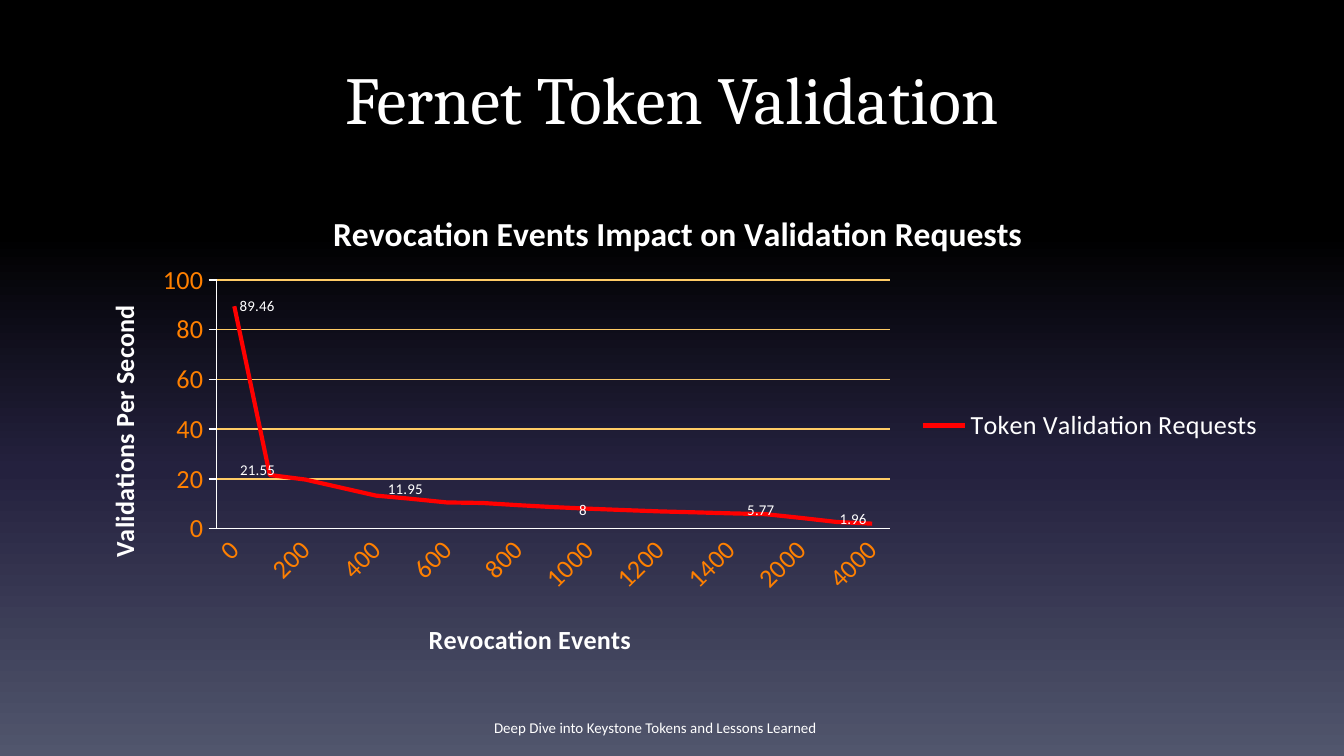
from lxml import etree
from pptx import Presentation
from pptx.chart.data import CategoryChartData
from pptx.dml.color import RGBColor
from pptx.enum.chart import XL_CHART_TYPE as Kind, XL_LABEL_POSITION as LabelPos
from pptx.enum.chart import XL_LEGEND_POSITION as LegendPos, XL_TICK_MARK as Tick
from pptx.enum.text import MSO_ANCHOR as Anchor, PP_ALIGN as Align
from pptx.oxml.ns import qn
from pptx.util import Emu, Pt

PX = 914400 / 134.4
COLORS = {"white": "FFFFFF", "orange": "FF8000", "grid": "FFCC66", "red": "FF0000",
          "black": "000000", "navy": "24213E", "slate": "51566D"}
BACKGROUND = [(0, "black"), (31, "black"), (62, "navy"), (100, "slate")]
EVENTS = [*range(0, 1501, 100), 2000, 3000, 4000]
RATES = [89.46, 21.55, 19.72, 16.49, 13.24, 11.95, 10.5, 10.3, 9.41, 8.64,
         8, 7.43, 6.91, 6.53, 6.12, 5.77, 4.27, 2.66, 1.96]
LABEL_SHIFTS = {0: (0, 0), 1: (-35, -4), 5: (-29, -9), 10: (-15, 2), 15: (-24, -4), 18: (-38, -4)}


def px(n):
    return Emu(round(n * PX))


def rgb(name):
    return RGBColor.from_string(COLORS[name])


def style(font, size, color="white", face="Calibri", bold=False):
    font.size, font.name, font.bold = Pt(size), face, bold
    font.color.rgb = rgb(color)


def sub(parent, tag, **attrs):
    return etree.SubElement(parent, qn(tag), {k: str(v) for k, v in attrs.items()})


def set_layout(anchor, **values):
    """Put a manual chart layout right after the anchor element."""
    parent = anchor.getparent()
    for old in parent.findall(qn("c:layout")):
        parent.remove(old)
    layout = etree.Element(qn("c:layout"))
    manual = sub(layout, "c:manualLayout")
    for tag, val in values.items():
        sub(manual, f"c:{tag}", val=val if isinstance(val, str) else round(val, 4))
    anchor.addnext(layout)


class Deck:
    """Holds the style and the current slide."""

    def __init__(self, width, height):
        self.prs = Presentation()
        self.prs.slide_width, self.prs.slide_height = px(width), px(height)
        self.s = self.prs.slides.add_slide(self.prs.slide_layouts[6])

    def background(self, stops):
        fill = self.s.background.fill
        fill.gradient()
        fill.gradient_angle = 270
        gs_list = next(self.s.element.iter(qn("a:gsLst")))
        for gs in list(gs_list):
            gs_list.remove(gs)
        for pos, color in stops:
            sub(sub(gs_list, "a:gs", pos=pos * 1000), "a:srgbClr", val=COLORS[color])

    def text(self, text, x, y, w, h, anchor=Anchor.MIDDLE, **fmt):
        tf = self.s.shapes.add_textbox(px(x), px(y), px(w), px(h)).text_frame
        tf.word_wrap, tf.vertical_anchor = True, anchor
        p = tf.paragraphs[0]
        p.alignment = Align.CENTER
        r = p.add_run()
        r.text = text
        style(r.font, **fmt)

    def chart_title(self, owner, text, size, x, y):
        title = owner.chart_title if hasattr(owner, "chart_title") else owner.axis_title
        p = title.text_frame.paragraphs[0]
        r = p.add_run()
        r.text = text
        style(r.font, size, bold=True)
        set_layout(title._element.find(qn("c:tx")), xMode="edge", yMode="edge",
                   x=x / self.chart_w, y=y / self.chart_h)

    def axis(self, axis, tick):
        axis.major_tick_mark, axis.minor_tick_mark = tick, Tick.NONE
        style(axis.tick_labels.font, 14, "orange")
        axis.format.line.color.rgb = rgb("white")
        axis.format.line.width = Pt(0.75)

    def line_chart(self, name, cats, values, x, y, w, h, plot):
        self.chart_w, self.chart_h = w, h
        data = CategoryChartData()
        data.categories = cats
        data.add_series(name, values)
        chart = self.s.shapes.add_chart(Kind.LINE, px(x), px(y), px(w), px(h), data).chart
        style(chart.font, 18)
        chart.has_legend = True
        chart.legend.position, chart.legend.include_in_layout = LegendPos.RIGHT, False
        style(chart.legend.font, 14)

        cat, val = chart.category_axis, chart.value_axis
        self.axis(cat, Tick.NONE)
        self.axis(val, Tick.OUTSIDE)
        val.minimum_scale, val.maximum_scale, val.major_unit = 0, 100, 20
        grid = val.major_gridlines.format.line
        grid.color.rgb, grid.width = rgb("grid"), Pt(0.75)
        cat._element.find(qn("c:txPr")).find(qn("a:bodyPr")).set("rot", "-2700000")
        skip = etree.Element(qn("c:tickLblSkip"), val="2")
        cat._element.find(qn("c:noMultiLvlLbl")).addprevious(skip)

        left, top, width, height = plot
        area = next(chart._chartSpace.iter(qn("c:plotArea")))
        marker = etree.Element(qn("c:layout"))
        area.insert(0, marker)
        set_layout(marker, layoutTarget="inner", xMode="edge", yMode="edge",
                   x=left / w, y=top / h, w=width / w, h=height / h)
        return chart

    def series(self, chart, color, shifts):
        ser = chart.plots[0].series[0]
        ser.smooth = False
        ser.format.line.color.rgb, ser.format.line.width = rgb(color), Pt(2.25)
        for i, (dx, dy) in shifts.items():
            label = ser.points[i].data_label
            style(label.font, 8)
            label.position = LabelPos.RIGHT
            if dx or dy:
                idx = next(e for e in ser._element.iter(qn("c:idx"))
                           if e.getparent().tag == qn("c:dLbl") and e.get("val") == str(i))
                set_layout(idx, x=dx / self.chart_w, y=dy / self.chart_h)
        ser.data_labels.show_value = False


def main():
    deck = Deck(1344, 756)
    deck.background(BACKGROUND)
    deck.text("Fernet Token Validation", 67, 51, 1210, 126, Anchor.TOP, size=36, face="Cambria")
    chart = deck.line_chart("Token Validation Requests", EVENTS, RATES, 67, 176, 1210, 499,
                            plot=(148, 97, 675, 256))
    deck.series(chart, "red", LABEL_SHIFTS)
    deck.chart_title(chart, "Revocation Events Impact on Validation Requests", 18, 260, 28)
    deck.chart_title(chart.category_axis, "Revocation Events", 14, 357, 440)
    deck.chart_title(chart.value_axis, "Validations Per Second", 14, 34, 124)
    deck.text("Deep Dive into Keystone Tokens and Lessons Learned", 437, 714, 437, 27, size=8)
    deck.prs.save("out.pptx")


if __name__ == "__main__":
    main()
